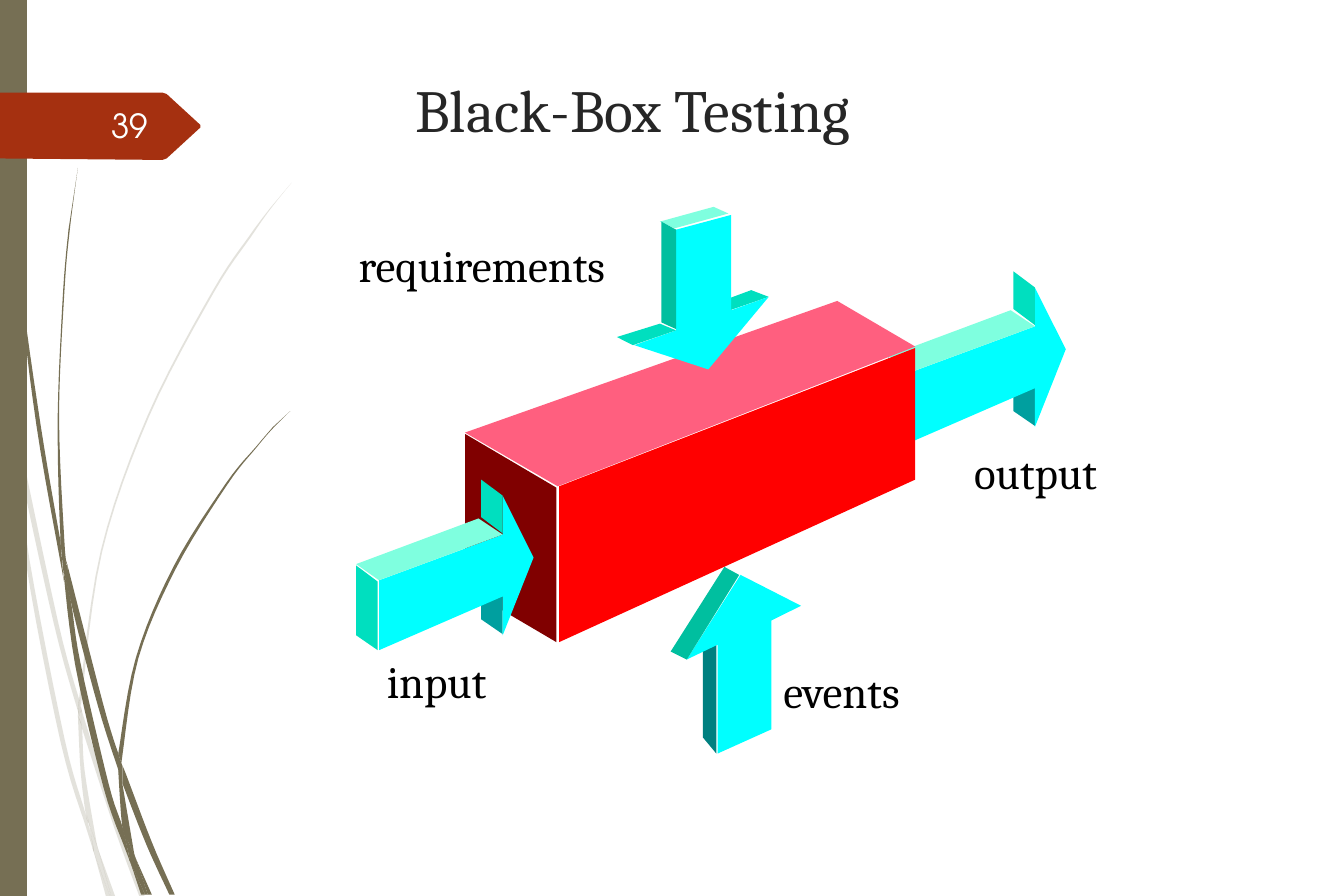
from dataclasses import dataclass

from lxml import etree
from pptx import Presentation
from pptx.dml.color import RGBColor
from pptx.enum.shapes import MSO_SHAPE
from pptx.enum.text import MSO_ANCHOR, MSO_AUTO_SIZE, PP_ALIGN
from pptx.oxml.ns import qn
from pptx.util import Cm, Pt

RECTANGLE = MSO_SHAPE.RECTANGLE
TOP, MIDDLE = MSO_ANCHOR.TOP, MSO_ANCHOR.MIDDLE
LEFT, RIGHT = PP_ALIGN.LEFT, PP_ALIGN.RIGHT
FIT_SHAPE, NO_FIT = MSO_AUTO_SIZE.SHAPE_TO_FIT_TEXT, MSO_AUTO_SIZE.NONE
TITLE_ONLY = 5
CURVE_STEPS = 6


@dataclass(frozen=True)
class Theme:
    serif: str = "Cambria"
    sans: str = "TeX Gyre Adventor"
    title_size: float = 32
    label_size: float = 24
    number_size: float = 17.8
    title: str = "262626"
    label: str = "000000"
    number: str = "FEFFFF"
    olive: str = "766F54"
    rust: str = "A53010"
    cyan: str = "00FFFF"
    pale: str = "7FFFDF"
    mint: str = "00DFBF"
    jade: str = "00BF9F"
    teal: str = "009F9F"
    deep_teal: str = "008080"
    red: str = "FF0000"
    pink: str = "FF5F7F"
    maroon: str = "800000"


THEME = Theme()


def inch(value):
    return Cm(2.54 * value)


def smooth(points):
    """Sample a Catmull-Rom curve that runs through the points."""
    padded = [points[0], *points, points[-1]]
    curve = [points[0]]
    for a, b, c, d in zip(padded, padded[1:], padded[2:], padded[3:]):
        for step in range(1, CURVE_STEPS + 1):
            t = step / CURVE_STEPS
            curve.append(tuple(
                q + t / 2 * (r - p + t * (2 * p - 5 * q + 4 * r - s + t * (3 * (q - r) + s - p)))
                for p, q, r, s in zip(a, b, c, d)))
    return curve


class Slide:
    def __init__(self, deck, theme):
        self.theme = theme
        self.page = deck.slides.add_slide(deck.slide_layouts[TITLE_ONLY])

    def paint(self, shape, color, opacity=None):
        shape.shadow.inherit = False
        shape.fill.solid()
        shape.fill.fore_color.rgb = RGBColor.from_string(color)
        shape.line.fill.background()
        if opacity is not None:
            tint = shape.element.spPr.find(qn("a:solidFill"))[0]
            etree.SubElement(tint, qn("a:alpha")).set("val", str(opacity * 1000))

    def outline(self, points, color, opacity=None, group=None):
        first, *others = [(inch(x), inch(y)) for x, y in points]
        builder = (group or self.page).shapes.build_freeform(*first)
        builder.add_line_segments(others, close=True)
        self.paint(builder.convert_to_shape(), color, opacity)

    def wisps(self, pieces, opacity=None):
        group = self.page.shapes.add_group_shape()
        for edges in pieces:
            points = [point for edge in edges for point in smooth(edge)]
            self.outline(points, self.theme.olive, opacity, group)

    def solid(self, faces, shift=(0, 0)):
        group = self.page.shapes.add_group_shape()
        for color, points in faces:
            self.outline([(x + shift[0], y + shift[1]) for x, y in points], color, group=group)

    def bar(self, x, y, width, height, color):
        shape = self.page.shapes.add_shape(RECTANGLE, inch(x), inch(y), inch(width), inch(height))
        self.paint(shape, color)

    def add_text(self, box, text, font, size, color, align=LEFT, anchor=TOP):
        frame = box.text_frame
        frame.vertical_anchor = anchor
        para = frame.paragraphs[0]
        para.alignment = align
        span = para.add_run()
        span.text = text
        span.font.name, span.font.size = font, Pt(size)
        span.font.color.rgb = RGBColor.from_string(color)
        return para

    def title(self, text, x, y, width, height):
        box = self.page.shapes.title
        box.left, box.top, box.width, box.height = map(inch, (x, y, width, height))
        box.text_frame.auto_size = NO_FIT
        self.add_text(box, text, self.theme.serif, self.theme.title_size, self.theme.title)

    def label(self, text, x, y, width):
        box = self.page.shapes.add_textbox(inch(x), inch(y), inch(width), inch(0.5))
        box.text_frame.word_wrap = False
        box.text_frame.auto_size = FIT_SHAPE
        self.add_text(box, text, self.theme.serif, self.theme.label_size, self.theme.label)

    def number(self, text, x, y, width, height):
        box = self.page.shapes.add_textbox(inch(x), inch(y), inch(width), inch(height))
        box.text_frame.word_wrap = True
        para = self.add_text(box, text, self.theme.sans, self.theme.number_size,
                             self.theme.number, RIGHT, MIDDLE)
        para.line_spacing = 0.9


# Each grass piece is a list of edges; corners fall where edges meet
PALE_GRASS = [
    [[(0.08, 3.11), (0.06, 2.86), (0, 2.5)], [(0, 2.66), (0.07, 3.06), (0.08, 3.11)]],
    [[(0.1, 3.07), (0.43, 4.62), (0.59, 5.21)],
     [(0.59, 5.33), (0.4, 4.64), (0.12, 3.34), (0.1, 3.07)]],
    [[(0.61, 5.29), (0.64, 5.39), (0.88, 6.15), (1.08, 6.68)],
     [(1.04, 6.68), (0.85, 6.16), (0.61, 5.42)]],
    [[(0.83, 6.68), (0.86, 6.68)], [(0.73, 6.32), (0.83, 6.68)]],
    [[(0.08, 3.11), (0.12, 3.34), (0.22, 4.17), (0.48, 5.5), (0.64, 6.07), (0.69, 6.28), (0.7, 6.35)],
     [(0.64, 6.16), (0.45, 5.52), (0.19, 4.17), (0.08, 3.11)]],
    [[(0.58, 5.33), (0.6, 5.74), (0.64, 6.07), (0.67, 6.15), (0.73, 6.32)],
     [(0.72, 6.28), (0.63, 5.74), (0.61, 5.42), (0.58, 5.33)]],
    [[(0.61, 5.29), (0.61, 5.19), (0.76, 4.11), (1.11, 3.1), (1.59, 2.18), (1.87, 1.76),
      (2.01, 1.56), (2.17, 1.36)],
     [(2.01, 1.55), (1.86, 1.75), (1.58, 2.17), (1.1, 3.09), (0.75, 4.1), (0.59, 5.19), (0.59, 5.21)]],
    [[(0.7, 6.35), (0.79, 6.68)], [(0.82, 6.68), (0.7, 6.35)]],
    [[(0.61, 5.43), (0.61, 5.3)], [(0.59, 5.21), (0.58, 5.33)], [(0.61, 5.41), (0.61, 5.43)]],
    [[(0.65, 6.07), (0.69, 6.29), (0.7, 6.35), (0.82, 6.68)],
     [(0.83, 6.68), (0.73, 6.32), (0.67, 6.15), (0.65, 6.07)]],
]
DARK_GRASS = [
    [[(0.02, 0), (0.03, 0.43), (0.05, 0.98), (0.14, 2.07), (0.27, 3.16), (0.46, 4.24), (0.47, 4.28)],
     [(0.45, 4.03), (0.3, 3.15), (0.15, 2.06), (0.06, 0.97), (0.04, 0.43), (0.03, 0)]],
    [[(0.5, 4.2), (0.53, 4.49), (0.73, 5.26), (0.88, 5.73)],
     [(0.88, 5.61), (0.77, 5.25), (0.5, 4.2)]],
    [[(0.91, 5.7), (0.94, 5.77), (1.13, 6.27), (1.3, 6.66)],
     [(1.26, 6.66), (1.09, 6.29), (0.91, 5.83)]],
    [[(0.47, 4.24), (0.53, 4.49), (0.6, 4.94), (0.81, 5.84), (0.91, 6.15), (0.96, 6.37), (0.97, 6.42)],
     [(0.92, 6.29), (0.77, 5.86), (0.56, 4.95), (0.47, 4.24)]],
    [[(0.5, 4.2), (0.48, 4.03), (0.44, 3.1), (0.48, 2.17), (0.52, 1.71), (0.58, 1.25)],
     [(0.51, 1.71), (0.47, 2.17), (0.43, 3.1), (0.45, 3.99), (0.49, 4.19)]],
    [[(1.1, 6.66), (1.13, 6.66)], [(1.01, 6.39), (1.1, 6.66)]],
    [[(0.47, 4.24), (0.53, 4.49)], [(0.5, 4.2), (0.49, 4.19), (0.45, 3.99)],
     [(0.45, 4.03), (0.47, 4.24)]],
    [[(0.91, 5.7), (0.91, 5.63), (1.03, 4.9), (1.31, 4.23), (1.69, 3.61), (1.91, 3.33),
      (2.03, 3.19), (2.16, 3.06)],
     [(2.03, 3.18), (1.91, 3.32), (1.68, 3.6), (1.29, 4.22), (1.01, 4.9), (0.88, 5.61)]],
    [[(0.97, 6.42), (1.05, 6.66)], [(1.08, 6.66), (0.97, 6.42)]],
    [[(0.88, 5.73), (0.91, 6.15), (0.96, 6.28), (1.01, 6.39)],
     [(1, 6.36), (0.91, 5.83), (0.9, 5.78), (0.88, 5.73)]],
    [[(0.88, 5.73), (0.91, 5.83)], [(0.91, 5.7), (0.88, 5.61)], [(0.88, 5.63), (0.88, 5.73)]],
    [[(0.91, 6.15), (0.96, 6.37), (0.97, 6.42), (1.08, 6.66)],
     [(1.1, 6.66), (1.01, 6.39), (0.96, 6.28), (0.91, 6.15)]],
]
NUMBER_TAG = [(0, 0.69), (1.21, 0.69), (1.24, 0.7), (1.49, 0.93), (1.49, 0.95),
              (1.24, 1.18), (1.21, 1.19), (1.12, 1.19), (0, 1.18)]

# Faces of the solids, from back to front
FLOW_ARROW = [
    (THEME.teal, [(3.74, 4.72), (3.74, 4.44), (3.58, 4.33), (3.58, 4.61)]),
    (THEME.cyan, [(3.74, 3.98), (2.82, 4.32), (2.82, 4.84), (3.74, 4.44),
                  (3.74, 4.73), (3.97, 4.15), (3.74, 3.69)]),
    (THEME.mint, [(2.81, 4.33), (2.81, 4.84), (2.65, 4.73), (2.65, 4.21)]),
    (THEME.pale, [(2.65, 4.2), (2.82, 4.32), (3.74, 3.98), (3.56, 3.86)]),
    (THEME.mint, [(3.74, 3.69), (3.58, 3.57), (3.58, 3.85), (3.74, 3.97)]),
]
EVENTS_ARROW = [
    (THEME.deep_teal, [(5.33, 5.61), (5.33, 4.8), (5.23, 4.75), (5.23, 5.49)]),
    (THEME.cyan, [(5.51, 4.28), (5.96, 4.51), (5.74, 4.62), (5.74, 5.43),
                  (5.34, 5.61), (5.34, 4.8), (5.11, 4.91)]),
    (THEME.jade, [(5.11, 4.91), (4.99, 4.85), (5.39, 4.22), (5.5, 4.28)]),
]
BLACK_BOX = [
    (THEME.maroon, [(3.46, 3.23), (4.14, 3.63), (4.14, 4.78), (3.46, 4.38)]),
    (THEME.pink, [(3.46, 3.22), (4.15, 3.62), (6.81, 2.58), (6.23, 2.24)]),
    (THEME.red, [(4.16, 3.62), (4.16, 4.78), (6.81, 3.57), (6.81, 2.59)]),
]
REQUIREMENTS_ARROW = [
    (THEME.pale, [(4.91, 1.65), (5.02, 1.7), (5.42, 1.59), (5.31, 1.54)]),
    (THEME.mint, [(5.43, 2.31), (5.72, 2.21), (5.59, 2.16), (5.32, 2.26)]),
    (THEME.cyan, [(5.03, 1.71), (5.44, 1.6), (5.44, 2.31), (5.72, 2.21),
                  (5.27, 2.75), (4.72, 2.57), (5.03, 2.46)]),
    (THEME.mint, [(4.71, 2.57), (4.59, 2.51), (4.91, 2.41), (5.03, 2.46)]),
    (THEME.jade, [(4.92, 2.4), (5.03, 2.45), (5.03, 1.71), (4.92, 1.65)]),
]
LABELS = [("requirements", 2.57, 1.72, 2.15), ("events", 5.73, 4.89, 1.14),
          ("input", 2.78, 4.82, 0.97), ("output", 7.15, 3.26, 1.16)]


def main():
    deck = Presentation()
    deck.slide_width, deck.slide_height = inch(10), inch(6.67)
    slide = Slide(deck, THEME)

    # Side decoration and number tag
    slide.wisps(PALE_GRASS, opacity=20)
    slide.wisps(DARK_GRASS)
    slide.bar(0, 0, 0.2, 6.67, THEME.olive)
    slide.outline(NUMBER_TAG, THEME.rust)
    slide.number("39", 0.56, 0.77, 0.64, 0.36)

    # Box with its four arrows; the output arrow starts behind the box
    slide.title("Black-Box Testing", 2.99, 0.49, 4, 0.76)
    slide.solid(FLOW_ARROW, shift=(3.96, -1.55))
    for faces in (EVENTS_ARROW, BLACK_BOX, REQUIREMENTS_ARROW, FLOW_ARROW):
        slide.solid(faces)
    for label in LABELS:
        slide.label(*label)

    deck.save("out.pptx")


if __name__ == "__main__":
    main()
